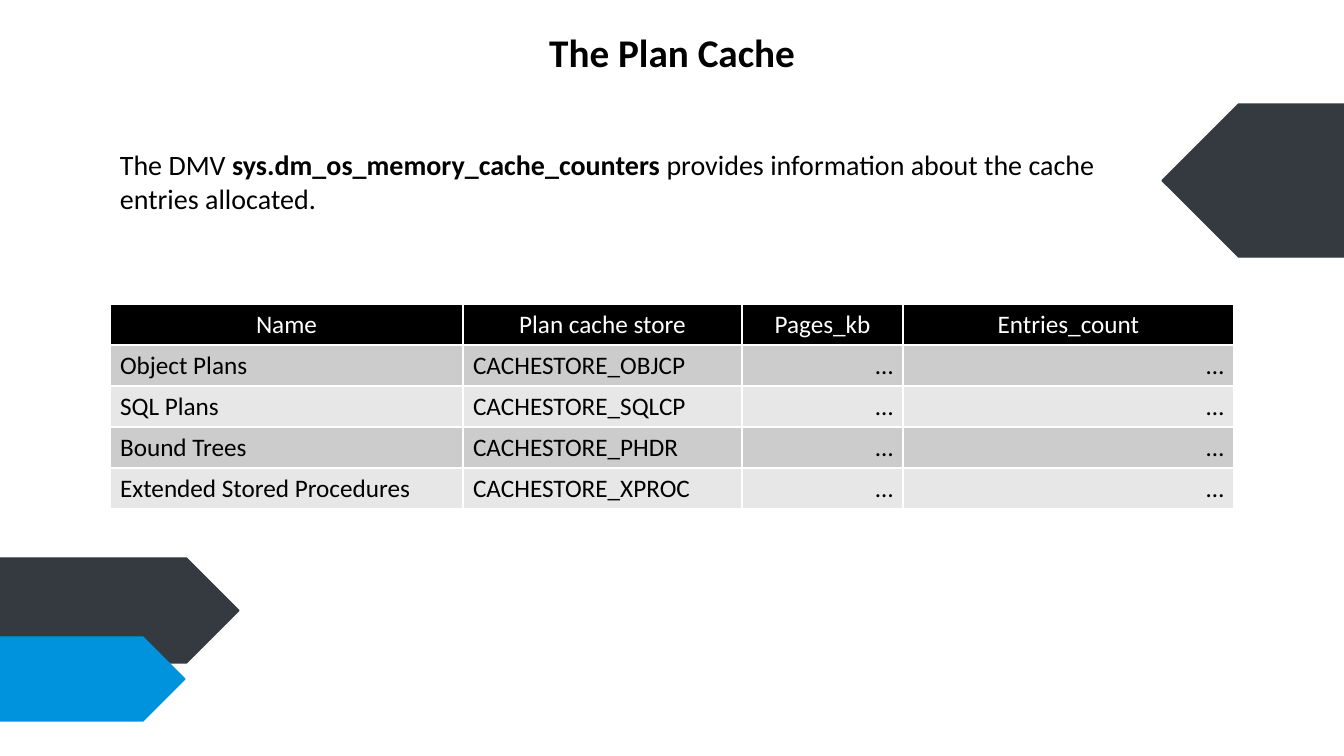
"""Build the slide about the plan cache and its memory counters."""
import pptx
import pptx.dml.color
import pptx.enum.shapes
import pptx.enum.text
import pptx.util

ALIGN = pptx.enum.text.PP_ALIGN
THEME = {
    "font": "Calibri",
    "ink": "000000",
    "paper": "FFFFFF",
    "slate": "343A40",
    "azure": "0093DD",
    "bands": ("CCCCCC", "E7E7E7"),
    "title": 28,
    "body": 20,
    "cell": 18,
}

TITLE = [("The Plan Cache", True)]
SUMMARY = [
    ("The DMV ", False),
    ("sys.dm_os_memory_cache_counters ", True),
    ("provides information about the cache entries allocated.", False),
]
COLUMNS = [
    ("Name", 353, ALIGN.LEFT),
    ("Plan cache store", 279, ALIGN.LEFT),
    ("Pages_kb", 161, ALIGN.RIGHT),
    ("Entries_count", 331, ALIGN.RIGHT),
]
STORES = [
    ("Object Plans", "CACHESTORE_OBJCP", "…", "…"),
    ("SQL Plans", "CACHESTORE_SQLCP", "…", "…"),
    ("Bound Trees", "CACHESTORE_PHDR", "…", "…"),
    ("Extended Stored Procedures", "CACHESTORE_XPROC", "…", "…"),
]
BANNERS = [
    ((1162, 104, 672, 153), 180, "slate"),
    ((0, 558, 239, 105), 0, "slate"),
    ((0, 637, 185, 84), 0, "azure"),
]
TEXTS = [
    ((23, 23, 1298, 57), TITLE, "title", ALIGN.CENTER),
    ((110, 143, 1046, 78), SUMMARY, "body", ALIGN.LEFT),
]
TABLE_LEFT, TABLE_TOP, ROW_HEIGHT = 110, 304, 41
SLIDE_WIDTH, SLIDE_HEIGHT = 1344, 756
PX_PER_INCH = 100.8


def px(*lengths):
    return [pptx.util.Inches(length / PX_PER_INCH) for length in lengths]


def rgb(name):
    return pptx.dml.color.RGBColor.from_string(THEME.get(name, name))


def apply(target, values):
    for attribute, value in values.items():
        setattr(target, attribute, value)


def write(frame, pieces, size, align, color="ink"):
    paragraph = frame.paragraphs[0]
    paragraph.alignment = align
    for words, bold in pieces:
        run = paragraph.add_run()
        run.text = words
        apply(run.font, {"name": THEME["font"], "size": pptx.util.Pt(THEME[size]), "bold": bold})
        run.font.color.rgb = rgb(color)


def add_banner(slide, box, rotation, color):
    banner = slide.shapes.add_shape(pptx.enum.shapes.MSO_SHAPE.PENTAGON, *px(*box))
    banner.rotation = rotation
    banner.shadow.inherit = False
    banner.fill.solid()
    banner.line.width = pptx.util.Pt(1)
    for paint in (banner.fill.fore_color, banner.line.color):
        paint.rgb = rgb(color)


def add_text(slide, box, pieces, size, align):
    frame = slide.shapes.add_textbox(*px(*box)).text_frame
    apply(frame, {"word_wrap": True, "auto_size": pptx.enum.text.MSO_AUTO_SIZE.SHAPE_TO_FIT_TEXT})
    write(frame, pieces, size, align)


def add_counters(slide):
    headings, widths, aligns = zip(*COLUMNS)
    rows = [headings, *STORES]
    box = px(TABLE_LEFT, TABLE_TOP, sum(widths), ROW_HEIGHT * len(rows))
    counters = slide.shapes.add_table(len(rows), len(COLUMNS), *box).table
    for column, width in zip(counters.columns, px(*widths)):
        column.width = width
    for r, values in enumerate(rows):
        fill = THEME["bands"][(r - 1) % 2] if r else "ink"
        color = "ink" if r else "paper"
        for c, value in enumerate(values):
            cell = counters.cell(r, c)
            cell.fill.solid()
            cell.fill.fore_color.rgb = rgb(fill)
            align = aligns[c] if r else ALIGN.CENTER
            write(cell.text_frame, [(value, False)], "cell", align, color)


def main():
    deck = pptx.Presentation()
    deck.slide_width, deck.slide_height = px(SLIDE_WIDTH, SLIDE_HEIGHT)
    slide = deck.slides.add_slide(deck.slide_layouts[6])
    for banner in BANNERS:
        add_banner(slide, *banner)
    for text in TEXTS:
        add_text(slide, *text)
    add_counters(slide)
    deck.save("out.pptx")


if __name__ == "__main__":
    main()
